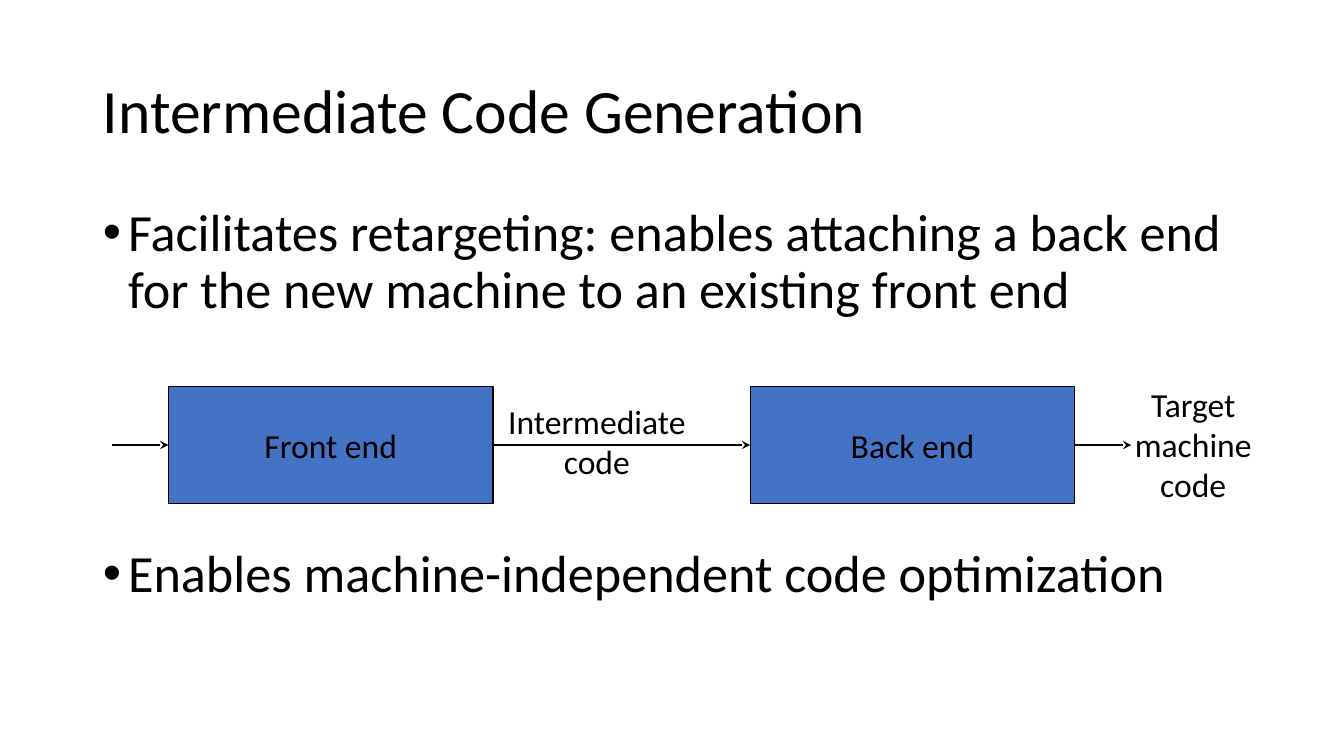
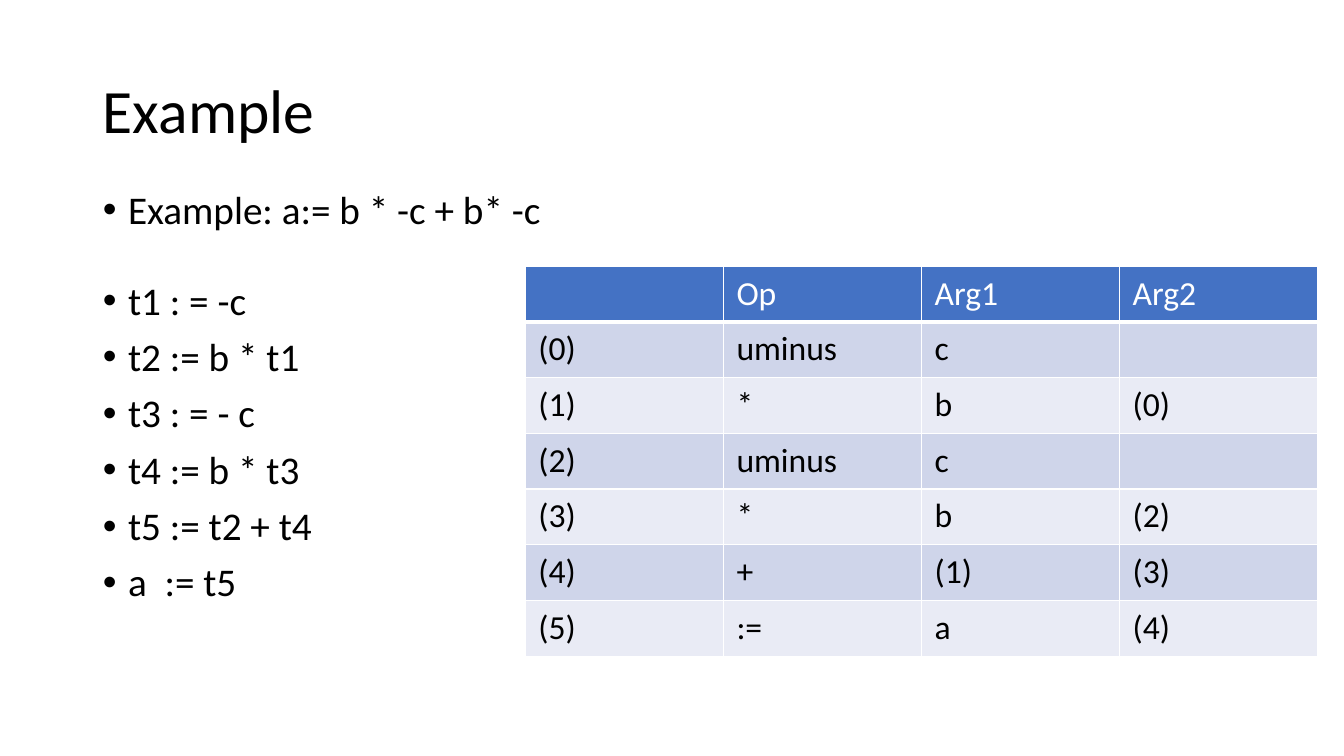
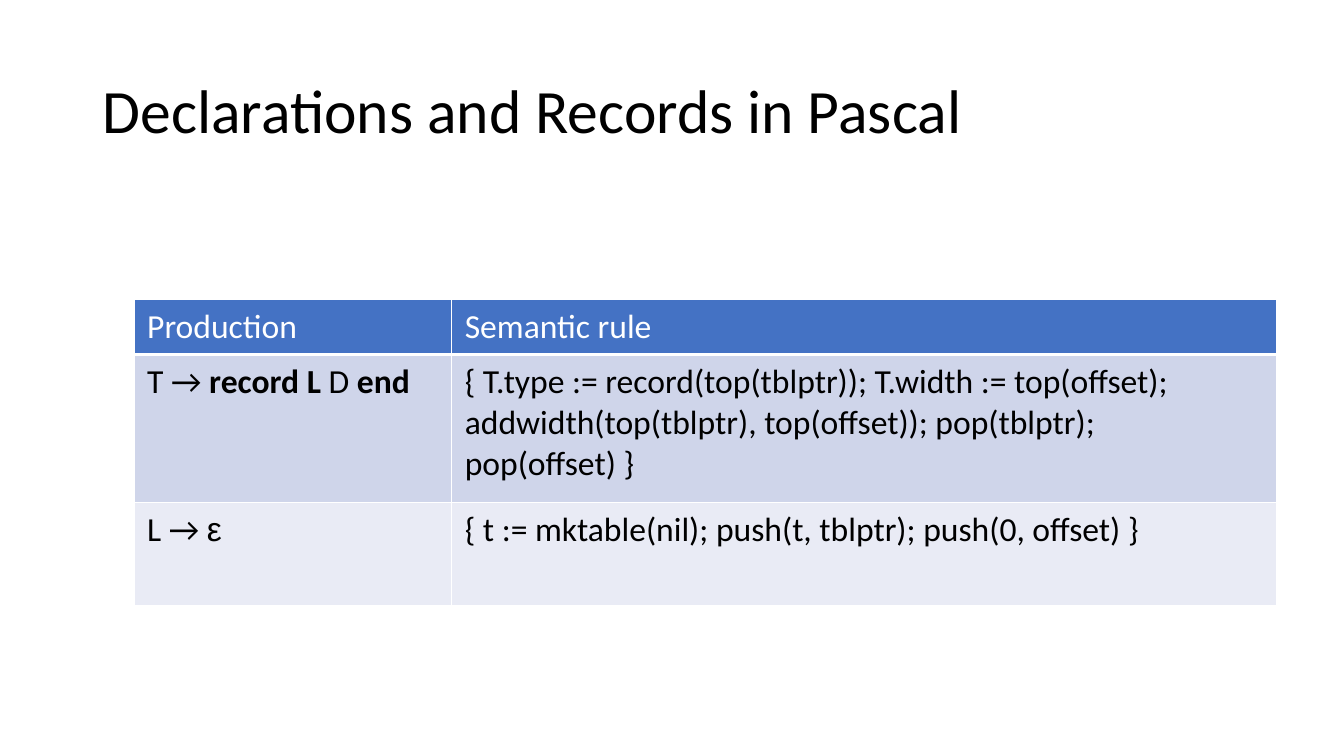
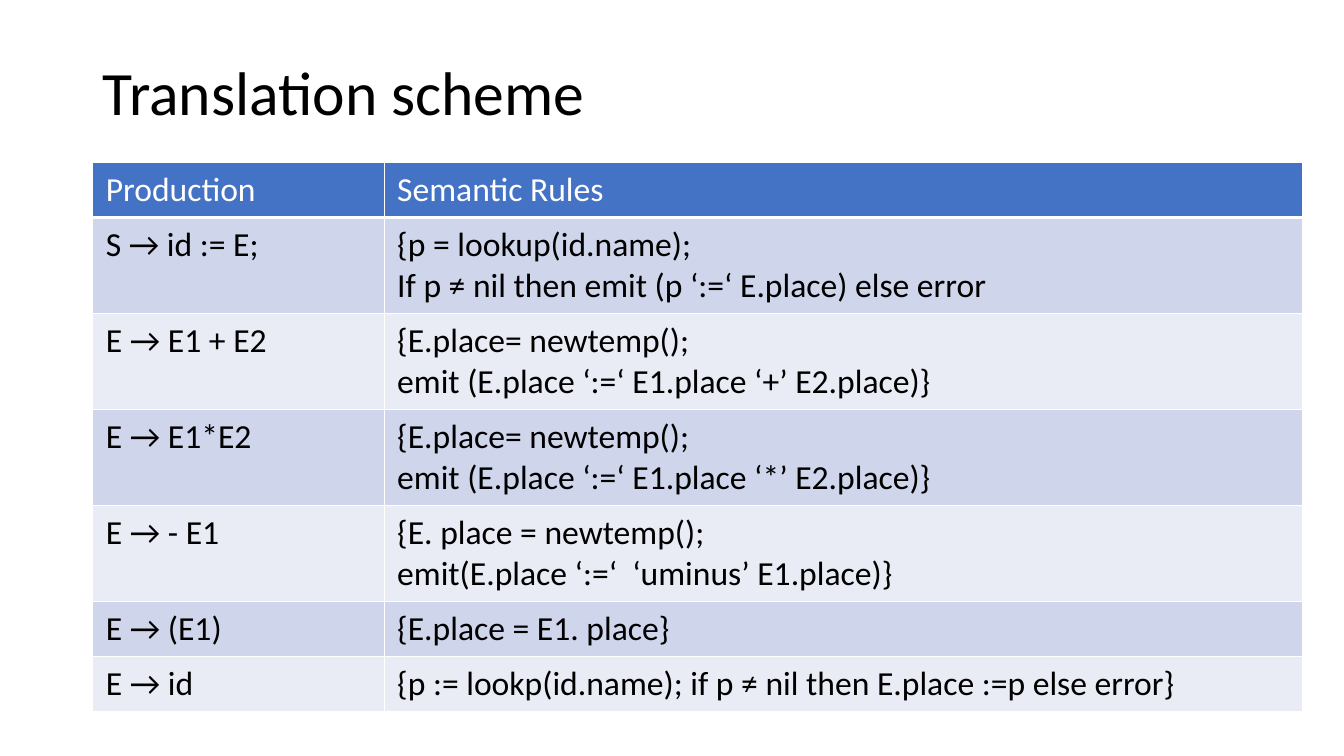
from dataclasses import dataclass

from pptx import Presentation
from pptx.dml.color import RGBColor
from pptx.enum.shapes import MSO_CONNECTOR, MSO_SHAPE
from pptx.enum.text import MSO_ANCHOR, MSO_AUTO_SIZE, PP_ALIGN
from pptx.oxml.ns import qn
from pptx.util import Inches, Pt
from lxml.etree import SubElement


@dataclass(frozen=True)
class Theme:
    font: str = "Calibri"
    symbol_font: str = "Arial"
    ink: RGBColor = RGBColor(0, 0, 0)
    white: RGBColor = RGBColor(255, 255, 255)
    accent: RGBColor = RGBColor(0x44, 0x72, 0xC4)
    bands: tuple = (RGBColor(0xCF, 0xD5, 0xEA), RGBColor(0xE9, 0xEB, 0xF5))
    title_size: float = 44
    large_list_size: float = 37.3
    list_size: float = 28
    text_size: float = 24
    line_spacing: float = 0.9
    list_gap: float = 10


@dataclass(frozen=True)
class Box:
    left: float
    top: float
    width: float
    height: float

    @property
    def lengths(self):
        return [Inches(v) for v in (self.left, self.top, self.width, self.height)]


THEME = Theme()
TITLE_BOX = Box(0.92, 0.4, 11.5, 1.45)
TITLE_ONLY, TITLE_AND_LIST, TITLE_AND_TWO_LISTS = 5, 1, 3


def apply(target, **values):
    for name, value in values.items():
        setattr(target, name, value)


def format_span(span, size, color=THEME.ink, name=THEME.font, bold=False):
    apply(span.font, size=Pt(size), name=name, bold=bold)
    span.font.color.rgb = color


def write_line(para, text, size, **style):
    para.text = text
    for span in para.runs:
        format_span(span, size, **style)


def place(shape, box):
    apply(shape, **dict(zip(("left", "top", "width", "height"), box.lengths)))


def add_page(deck, layout, title, box=TITLE_BOX):
    page = deck.slides.add_slide(deck.slide_layouts[layout])
    place(page.shapes.title, box)
    frame = page.shapes.title.text_frame
    apply(frame, auto_size=MSO_AUTO_SIZE.NONE, vertical_anchor=MSO_ANCHOR.MIDDLE)
    para = frame.paragraphs[0]
    write_line(para, title, THEME.title_size)
    apply(para, alignment=PP_ALIGN.LEFT, line_spacing=THEME.line_spacing)
    return page


def fill_list(holder, box, items, size, gap=THEME.list_gap):
    place(holder, box)
    frame = holder.text_frame
    frame.auto_size = MSO_AUTO_SIZE.NONE
    for index, item in enumerate(items):
        para = frame.add_paragraph() if index else frame.paragraphs[0]
        write_line(para, item, size)
        apply(para, line_spacing=THEME.line_spacing, space_before=Pt(gap if index else 0))
        properties = para._p.get_or_add_pPr()
        properties.set("marL", str(Inches(0.25)))
        properties.set("indent", str(-Inches(0.25)))


def add_arrow(page, start, end, y):
    line = page.shapes.add_connector(
        MSO_CONNECTOR.STRAIGHT, Inches(start), Inches(y), Inches(end), Inches(y))
    line.line.width = Pt(2)
    line.line.color.rgb = THEME.ink
    SubElement(line.line._get_or_add_ln(), qn("a:tailEnd"), type="stealth")
    SubElement(line._element.spPr, qn("a:effectLst"))


def write_centred(shape, text):
    frame = shape.text_frame
    apply(frame, word_wrap=False, vertical_anchor=MSO_ANCHOR.MIDDLE)
    para = frame.paragraphs[0]
    write_line(para, text, THEME.text_size)
    para.alignment = PP_ALIGN.CENTER


def add_stage(page, box, text):
    stage = page.shapes.add_shape(MSO_SHAPE.RECTANGLE, *box.lengths)
    stage.shadow.inherit = False
    stage.fill.solid()
    stage.fill.fore_color.rgb = THEME.accent
    stage.line.color.rgb = THEME.ink
    stage.line.width = Pt(0.75)
    write_centred(stage, text)


def add_label(page, box, text):
    write_centred(page.shapes.add_textbox(*box.lengths), text)


def add_compiler_flow(page, box):
    """Two stages with an arrow before, between and after them."""
    lead, stage_width = 0.56, 3.22
    between = box.width - 2 * lead - 2 * stage_width
    middle = box.top + box.height / 2
    x = box.left
    for gap, name in ((lead, "Front end"), (between, "Back end")):
        add_arrow(page, x, x + gap, middle)
        add_stage(page, Box(x + gap, box.top, stage_width, box.height), name)
        x += gap + stage_width
    add_arrow(page, x, x + lead, middle)
    add_label(page, Box(box.left + 3.82, box.top + 0.09, 1.98, 0.91), "Intermediate\ncode")
    add_label(page, Box(box.left + 10.04, box.top - 0.08, 1.37, 1.31), "Target\nmachine\ncode")


def set_borders(cell, bottom):
    properties = cell._tc.get_or_add_tcPr()
    sides = (("lnL", 1), ("lnR", 1), ("lnT", 1), ("lnB", bottom))
    for position, (side, width) in enumerate(sides):
        line = properties.makeelement(qn(f"a:{side}"), {"w": str(Pt(width))})
        fill = SubElement(line, qn("a:solidFill"))
        SubElement(fill, qn("a:srgbClr"), val=str(THEME.white))
        properties.insert(position, line)


def fill_cell(cell, content, is_header, band):
    """Content is text, one paragraph a line, or a tuple of (text, style) spans."""
    apply(cell, margin_left=Inches(0.13), margin_right=Inches(0.13),
          margin_top=Inches(0.07), margin_bottom=Inches(0.07))
    cell.fill.solid()
    cell.fill.fore_color.rgb = THEME.accent if is_header else band
    set_borders(cell, 3 if is_header else 1)
    color = THEME.white if is_header else THEME.ink
    frame = cell.text_frame
    if isinstance(content, tuple):
        for text, style in content:
            span = frame.paragraphs[0].add_run()
            span.text = text
            format_span(span, THEME.text_size, color, **style)
        return
    for index, line in enumerate(content.split("\n")):
        para = frame.add_paragraph() if index else frame.paragraphs[0]
        write_line(para, line, THEME.text_size, color=color)


def add_grid(page, left, top, widths, heights, rows):
    box = Box(left, top, sum(widths), sum(heights))
    table = page.shapes.add_table(len(rows), len(widths), *box.lengths).table
    table.horz_banding = False
    for column, width in zip(table.columns, widths):
        column.width = Inches(width)
    for index, (row, height, contents) in enumerate(zip(table.rows, heights, rows)):
        row.height = Inches(height)
        for cell, content in zip(row.cells, contents):
            fill_cell(cell, content, index == 0, THEME.bands[(index - 1) % 2])


def build_generation(deck):
    page = add_page(deck, TITLE_AND_LIST, "Intermediate Code Generation")
    fill_list(page.placeholders[1], Box(0.92, 2, 11.5, 4.76), [
        "Facilitates retargeting: enables attaching a back end for the new machine "
        "to an existing front end",
        "Enables machine-independent code optimization",
    ], THEME.large_list_size, gap=163)
    add_compiler_flow(page, Box(1.11, 3.83, 10.11, 1.17))


def build_example(deck):
    page = add_page(deck, TITLE_AND_TWO_LISTS, "Example")
    for holder in list(page.placeholders)[3:]:
        holder._element.getparent().remove(holder._element)
    fill_list(page.placeholders[1], Box(0.92, 1.84, 5.64, 0.9),
              ["Example: a:= b * -c + b* -c"], THEME.list_size)
    fill_list(page.placeholders[2], Box(0.92, 2.74, 5.64, 4.03), [
        "t1 : = -c", "t2 := b * t1", "t3 : = - c",
        "t4 := b * t3", "t5 := t2 + t4", "a  := t5",
    ], THEME.list_size)
    add_grid(page, 5.21, 2.64, [1.965] * 4, [0.553] * 7, [
        ["", "Op", "Arg1", "Arg2"],
        ["(0)", "uminus", "c", ""],
        ["(1)", "*", "b", "(0)"],
        ["(2)", "uminus", "c", ""],
        ["(3)", "*", "b", "(2)"],
        ["(4)", "+", "(1)", "(3)"],
        ["(5)", ":=", "a", "(4)"],
    ])


def build_records(deck):
    page = add_page(deck, TITLE_ONLY, "Declarations and Records in Pascal")
    bold, symbol = {"bold": True}, {"name": THEME.symbol_font}
    add_grid(page, 1.33, 2.97, [3.15, 8.18], [0.53, 1.47, 1.02], [
        ["Production", "Semantic rule"],
        [(("T → ", {}), ("record L ", bold), ("D ", {}), ("end", bold)),
         "{ T.type := record(top(tblptr)); T.width := top(offset);\n"
         "addwidth(top(tblptr), top(offset)); pop(tblptr); pop(offset) }"],
        [(("L → ", {}), ("ε", symbol)),
         "{ t := mktable(nil); push(t, tblptr); push(0, offset) }"],
    ])


def build_translation(deck):
    page = add_page(deck, TITLE_ONLY, "Translation scheme", Box(0.92, 0.4, 11.5, 1.1))
    single, double = 0.54, 0.95
    add_grid(page, 0.92, 1.61, [2.89, 9.11], [single] + [double] * 4 + [single] * 2, [
        ["Production", "Semantic Rules"],
        ["S → id := E;",
         "{p = lookup(id.name);\nIf p ≠ nil then emit (p ‘:=‘ E.place) else error"],
        ["E → E1 + E2",
         "{E.place= newtemp();\nemit (E.place ‘:=‘ E1.place ‘+’ E2.place)}"],
        ["E → E1*E2",
         "{E.place= newtemp();\nemit (E.place ‘:=‘ E1.place ‘*’ E2.place)}"],
        ["E → - E1",
         "{E. place = newtemp();\nemit(E.place ‘:=‘  ‘uminus’ E1.place)}"],
        ["E → (E1)", "{E.place = E1. place}"],
        ["E → id", "{p := lookp(id.name); if p ≠ nil then E.place :=p else error}"],
    ])


def main():
    deck = Presentation()
    apply(deck, slide_width=Inches(13.33), slide_height=Inches(7.5))
    for build in (build_generation, build_example, build_records, build_translation):
        build(deck)
    deck.save("out.pptx")


if __name__ == "__main__":
    main()
